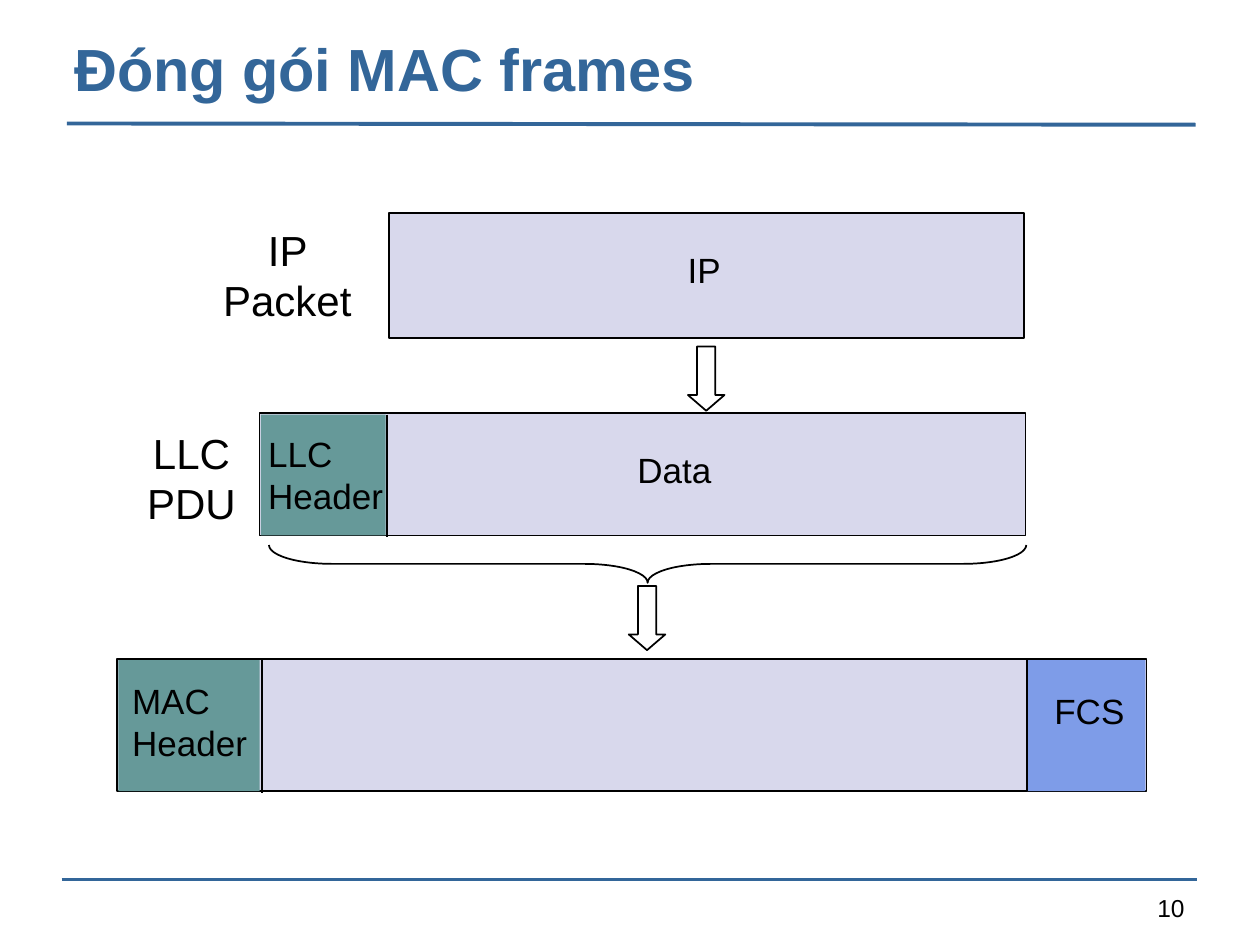
from lxml import etree
from pptx import Presentation
from pptx.dml.color import RGBColor
from pptx.enum import shapes, text
from pptx.oxml import ns
from pptx.util import Inches, Pt

BLUE, BLACK, WHITE = "336699", "000000", "FFFFFF"
PALE, TEAL, SKY = "D8D8EC", "669999", "7E9CE8"
LEFT, MID, RIGHT = text.PP_ALIGN.LEFT, text.PP_ALIGN.CENTER, text.PP_ALIGN.RIGHT
TOP, CENTER, BASE = (text.MSO_ANCHOR.TOP, text.MSO_ANCHOR.MIDDLE,
                     text.MSO_ANCHOR.BOTTOM)

# left, top, width, height, fill, outlined
FRAMES = [
    (3.09, 1.69, 5.04, 0.99, PALE, True),
    (2.06, 3.28, 6.08, 0.97, PALE, True),
    (2.07, 3.29, 0.99, 0.96, TEAL, False),
    (0.93, 5.23, 8.17, 1.05, PALE, True),
    (8.15, 5.24, 0.94, 1.04, SKY, False),
    (0.94, 5.24, 1.12, 1.04, TEAL, False),
]
# x1, y1, x2, y2, colour, points
LINES = [
    (0.53, 0.98, 9.49, 0.99, BLUE, 2.25),
    (0.49, 6.98, 9.5, 6.98, BLUE, 1.5),
    (3.07, 3.29, 3.07, 4.26, BLACK, 1),
    (2.08, 5.24, 2.08, 6.29, BLACK, 1),
    (8.15, 5.24, 8.15, 6.28, BLACK, 1),
]
ARROWS = [(5.46, 2.75), (4.99, 4.65)]
ARROW_SIZE = (0.29, 0.51)
BRACE = (4.99, 1.47, 0.3, 6.01)

# words, left, top, width, height, wrap
FIELDS = [
    ("IP", 5.36, 1.92, 0.46, 0.43, False),
    ("LLC Header", 2.03, 3.38, 1.17, 0.76, True),
    ("Data", 4.96, 3.51, 0.79, 0.43, False),
    ("MAC Header", 0.95, 5.34, 1.24, 0.76, True),
    ("FCS", 8.27, 5.42, 0.76, 0.43, False),
]
UNITS = [
    ("IP Packet", 1.59, 1.73, 1.38, 0.9),
    ("LLC PDU", 0.89, 3.34, 1.26, 0.9),
]


def color(code):
    return RGBColor.from_string(code)


def add_shape(kind, box, fill=None, lined=True):
    shape = slide.shapes.add_shape(kind, *map(Inches, box))
    shape.shadow.inherit = False
    if fill:
        shape.fill.solid()
        shape.fill.fore_color.rgb = color(fill)
    else:
        shape.fill.background()
    if lined:
        shape.line.color.rgb = color(BLACK)
        shape.line.width = Pt(1)
    else:
        shape.line.fill.background()
    return shape


def add_line(x1, y1, x2, y2, code, points):
    line = slide.shapes.add_connector(
        shapes.MSO_CONNECTOR.STRAIGHT, *map(Inches, (x1, y1, x2, y2)))
    line.line.color.rgb = color(code)
    line.line.width = Pt(points)
    etree.SubElement(line._element.spPr, ns.qn("a:effectLst"))


def add_text(words, box, size, align=LEFT, anchor=TOP, wrap=True,
             code=BLACK, bold=False, before=0):
    frame = slide.shapes.add_textbox(*map(Inches, box)).text_frame
    frame.text = words
    frame.word_wrap = wrap
    frame.vertical_anchor = anchor
    para = frame.paragraphs[0]
    para.alignment = align
    para.space_before = Pt(before)
    font = para.runs[0].font
    font.name, font.size, font.bold = "Arial", Pt(size), bold
    font.color.rgb = color(code)


deck = Presentation()
deck.slide_width, deck.slide_height = Inches(10), Inches(7.5)
slide = deck.slides.add_slide(deck.slide_layouts[6])

for *box, fill, lined in FRAMES:
    add_shape(shapes.MSO_SHAPE.RECTANGLE, box, fill, lined)
for line in LINES:
    add_line(*line)
for spot in ARROWS:
    arrow = add_shape(shapes.MSO_SHAPE.DOWN_ARROW, spot + ARROW_SIZE, WHITE)
    arrow.adjustments[0], arrow.adjustments[1] = 0.5, 0.43

brace = add_shape(shapes.MSO_SHAPE.LEFT_BRACE, BRACE)
brace.rotation = 270
brace.adjustments[0] = 1.67

add_text("Đóng gói MAC frames", (0.49, 0.19, 9.02, 0.68), 34,
         anchor=BASE, code=BLUE, bold=True)
add_text("10", (7.17, 7.04, 2.33, 0.29), 14, RIGHT)
for words, *box, wrap in FIELDS:
    add_text(words, box, 20, wrap=wrap)
for words, *box in UNITS:
    add_text(words, box, 24, MID, CENTER, before=15)

deck.save("out.pptx")
